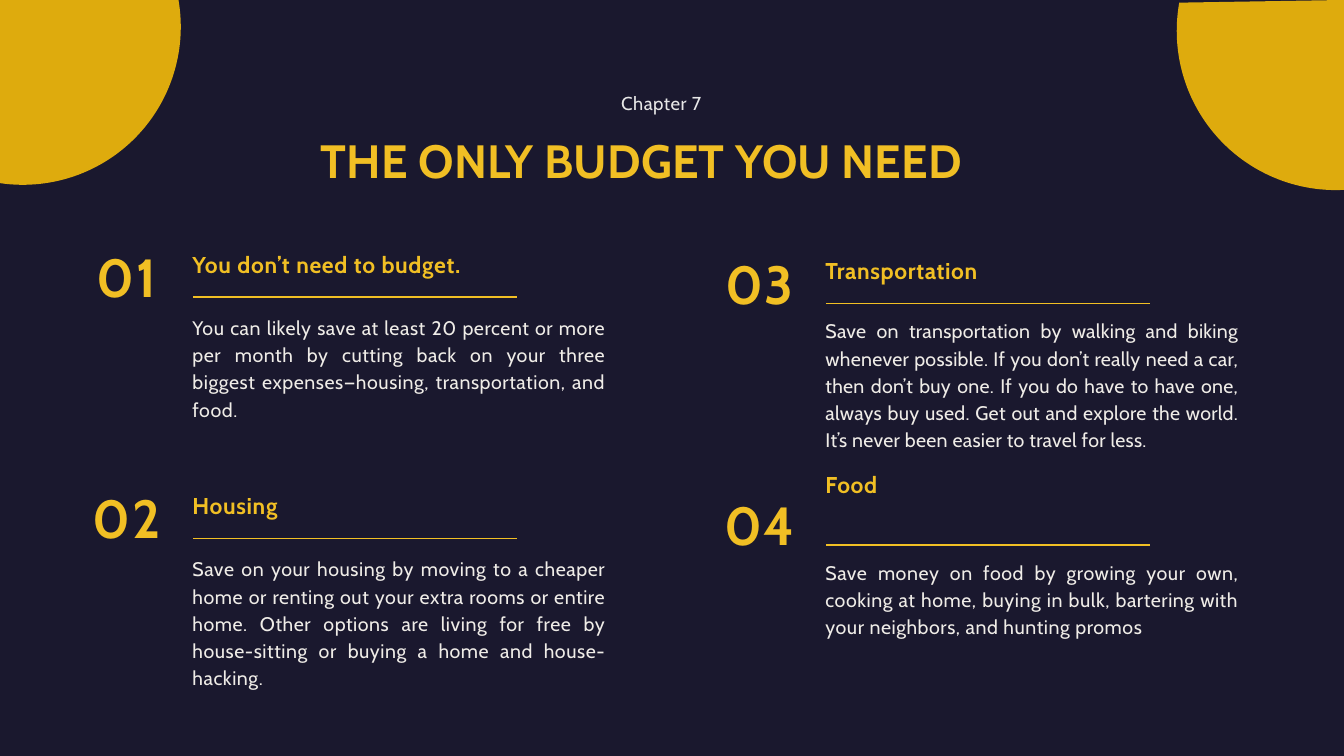
from dataclasses import dataclass, replace
from math import cos, radians, sin

from lxml.etree import SubElement
from pptx import Presentation
from pptx.dml.color import RGBColor as Color
from pptx.enum.shapes import MSO_CONNECTOR as Connector
from pptx.enum.text import MSO_ANCHOR as Anchor, MSO_AUTO_SIZE as AutoSize, PP_ALIGN as Align
from pptx.oxml.ns import qn
from pptx.util import Pt


@dataclass(frozen=True)
class TextStyle:
    size: float
    color: Color
    tracking: float  # letter spacing in points
    bold: bool = False
    align: Align = Align.LEFT
    line_spacing: float = 1.0


class Theme:
    font = "Cabin"
    night = Color.from_string("1A182E")
    gold = Color.from_string("F1BF24")
    disc = Color.from_string("DEAB0D")
    title = TextStyle(50, gold, 0.1, bold=True)
    chapter = TextStyle(20, Color.from_string("E7E7E7"), 0.5)
    number = TextStyle(57.5, gold, 1.9, bold=True, align=Align.CENTER)
    heading = TextStyle(24.5, gold, 0.7, bold=True)
    body = TextStyle(21, Color.from_string("EFECE7"), 0.6, align=Align.JUSTIFY, line_spacing=1.16)
    snug_body = replace(body, tracking=0.3)
    rule_width = 1.5


@dataclass(frozen=True)
class Tip:
    number: str
    heading: str
    heading_width: float
    body: str
    body_height: float
    style: TextStyle = Theme.body
    next_heading: str = ""  # heading of the tip below, set under this body


class SlideBuilder:
    def __init__(self, slide, theme):
        self.slide = slide
        self.theme = theme

    def background(self):
        fill = self.slide.background.fill
        fill.solid()
        fill.fore_color.rgb = self.theme.night

    def paragraph(self, para, text, style):
        para.alignment = style.align
        para.line_spacing = style.line_spacing
        span = para.add_run()
        span.text = text
        span.font.name = self.theme.font
        span.font.size = Pt(style.size)
        span.font.bold = style.bold
        span.font.color.rgb = style.color
        span.font._element.set("spc", str(round(style.tracking * 100)))

    def fill_frame(self, shape, text, style):
        frame = shape.text_frame
        frame.margin_left = frame.margin_top = Pt(1)
        frame.margin_right = frame.margin_bottom = 0
        frame.word_wrap = True
        frame.auto_size = AutoSize.SHAPE_TO_FIT_TEXT
        frame.vertical_anchor = Anchor.TOP
        self.paragraph(frame.paragraphs[0], text, style)

    def title(self, left, top, width, height, text):
        title = self.slide.shapes.title
        title.left, title.top, title.width, title.height = map(Pt, (left, top, width, height))
        self.fill_frame(title, text, self.theme.title)

    def text(self, left, top, width, height, text, style):
        box = self.slide.shapes.add_textbox(*map(Pt, (left, top, width, height)))
        self.fill_frame(box, text, style)
        return box

    def rule(self, left, top, width):
        line = self.slide.shapes.add_connector(
            Connector.STRAIGHT, Pt(left), Pt(top), Pt(left + width), Pt(top))
        line.line.color.rgb = self.theme.gold
        line.line.width = Pt(self.theme.rule_width)
        SubElement(line._element.spPr, qn("a:effectLst"))

    def corner_disc(self, center, radius, angles, corner):
        """Draw the part of a disc between two angles (degrees), closed at a slide corner."""
        first, last = angles
        steps = 60
        turns = [radians(first + (last - first) * step / steps) for step in range(steps + 1)]
        arc = [(Pt(center[0] + radius * cos(turn)), Pt(center[1] + radius * sin(turn)))
               for turn in turns]
        outline = self.slide.shapes.build_freeform(Pt(corner[0]), Pt(corner[1]))
        outline.add_line_segments(arc, close=True)
        disc = outline.convert_to_shape()
        disc.shadow.inherit = False
        disc.fill.solid()
        disc.fill.fore_color.rgb = self.theme.disc
        disc.line.fill.background()

    def tip(self, tip, left, rule_top, body_gap):
        """Place number and heading above the rule, and the body below it."""
        theme = self.theme
        self.rule(left + RULE_INDENT, rule_top, RULE_LENGTH)
        self.text(left - NUMBER_OFFSET, rule_top - NUMBER_RISE, NUMBER_WIDTH, NUMBER_HEIGHT,
                  tip.number, theme.number)
        if tip.heading:
            self.text(left, rule_top - HEADING_RISE, tip.heading_width, HEADING_HEIGHT,
                      tip.heading, theme.heading)
        box = self.text(left, rule_top + body_gap, BODY_WIDTH, tip.body_height,
                        tip.body, tip.style)
        if tip.next_heading:
            para = box.text_frame.add_paragraph()
            self.paragraph(para, tip.next_heading, theme.heading)
            para.space_before = Pt(NEXT_HEADING_GAP)


SLIDE_WIDTH, SLIDE_HEIGHT = 1440, 810

COLUMN_LEFTS = (205.2, 883.4)
COLUMN_RULE_TOPS = (318.2, 325.4)
COLUMN_BODY_GAPS = (15.2, 11.6)
ROW_PITCH = 258.5

RULE_INDENT, RULE_LENGTH = 2, 347
NUMBER_OFFSET, NUMBER_RISE = 110, 57.8
NUMBER_WIDTH, NUMBER_HEIGHT = 80, 71.3
HEADING_RISE, HEADING_HEIGHT = 51, 31.7
BODY_WIDTH = 444
NEXT_HEADING_GAP = 20.6

# One inner tuple for each column, from top to bottom.
TIP_COLUMNS = (
    (
        Tip("01", "You don’t need to budget.", 315,
            "You can likely save at least 20 percent or more per month by cutting back on "
            "your three biggest expenses—housing, transportation, and food.", 119),
        Tip("02", "Housing", 100,
            "Save on your housing by moving to a cheaper home or renting out your extra "
            "rooms or entire home. Other options are living for free by house-sitting or "
            "buying a home and house-hacking.", 148),
    ),
    (
        Tip("03", "Transportation", 182,
            "Save on transportation by walking and biking whenever possible. If you don’t "
            "really need a car, then don’t buy one. If you do have to have one, always buy "
            "used. Get out and explore the world. It’s never been easier to travel for less.",
            227.5, style=Theme.snug_body, next_heading="Food"),
        Tip("04", "", 0,
            "Save money on food by growing your own, cooking at home, buying in bulk, "
            "bartering with your neighbors, and hunting promos", 90),
    ),
)


def main():
    deck = Presentation()
    deck.slide_width, deck.slide_height = Pt(SLIDE_WIDTH), Pt(SLIDE_HEIGHT)
    page = SlideBuilder(deck.slides.add_slide(deck.slide_layouts[5]), Theme())

    page.background()
    page.corner_disc((24.5, 28.8), 169.2, (-9.8, 98.3), (0, 0))
    page.corner_disc((1431.4, 33.1), 170.6, (87.1, 190.2), (SLIDE_WIDTH, 0))
    page.title(342.7, 140.7, 754.6, 62, "THE ONLY BUDGET YOU NEED")
    page.text(664.6, 97.2, 93.6, 26, "Chapter 7", page.theme.chapter)

    columns = zip(COLUMN_LEFTS, COLUMN_RULE_TOPS, COLUMN_BODY_GAPS, TIP_COLUMNS)
    for left, first_rule_top, body_gap, tips in columns:
        for row, tip in enumerate(tips):
            page.tip(tip, left, first_rule_top + row * ROW_PITCH, body_gap)

    deck.save("out.pptx")


if __name__ == "__main__":
    main()
